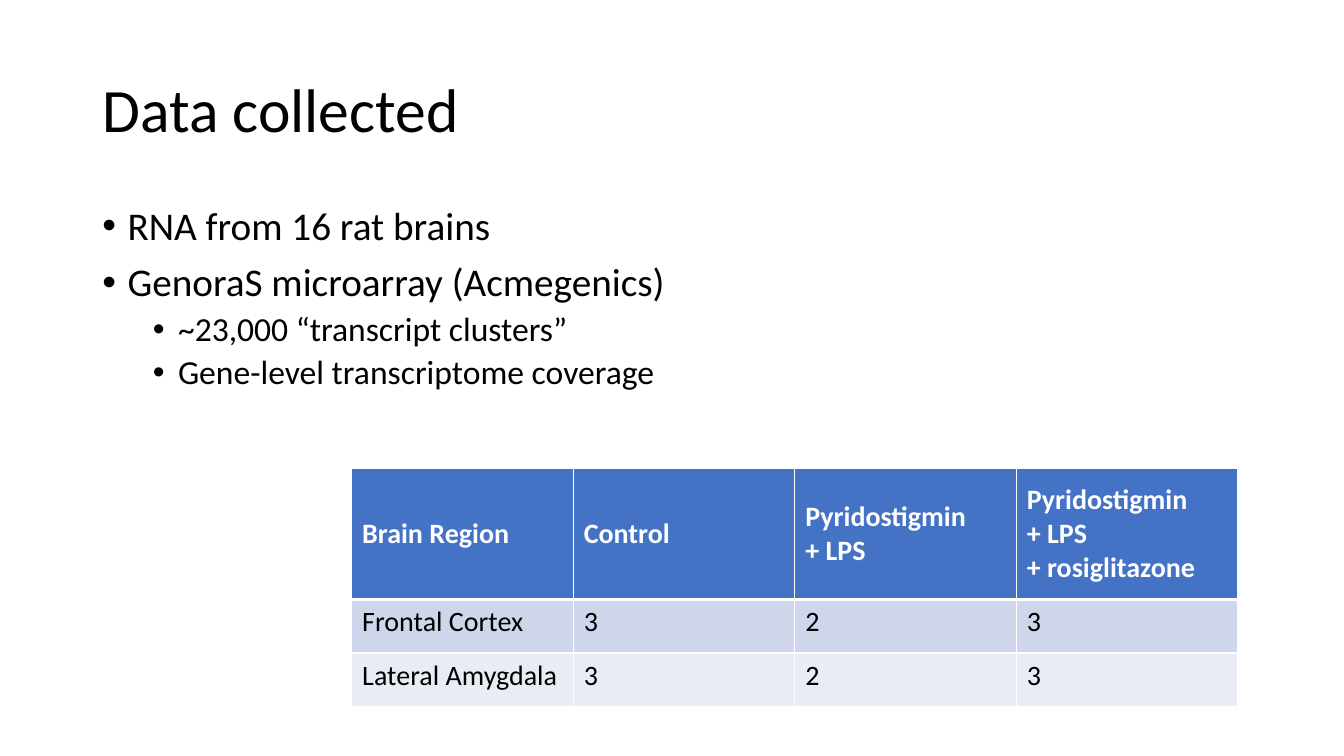
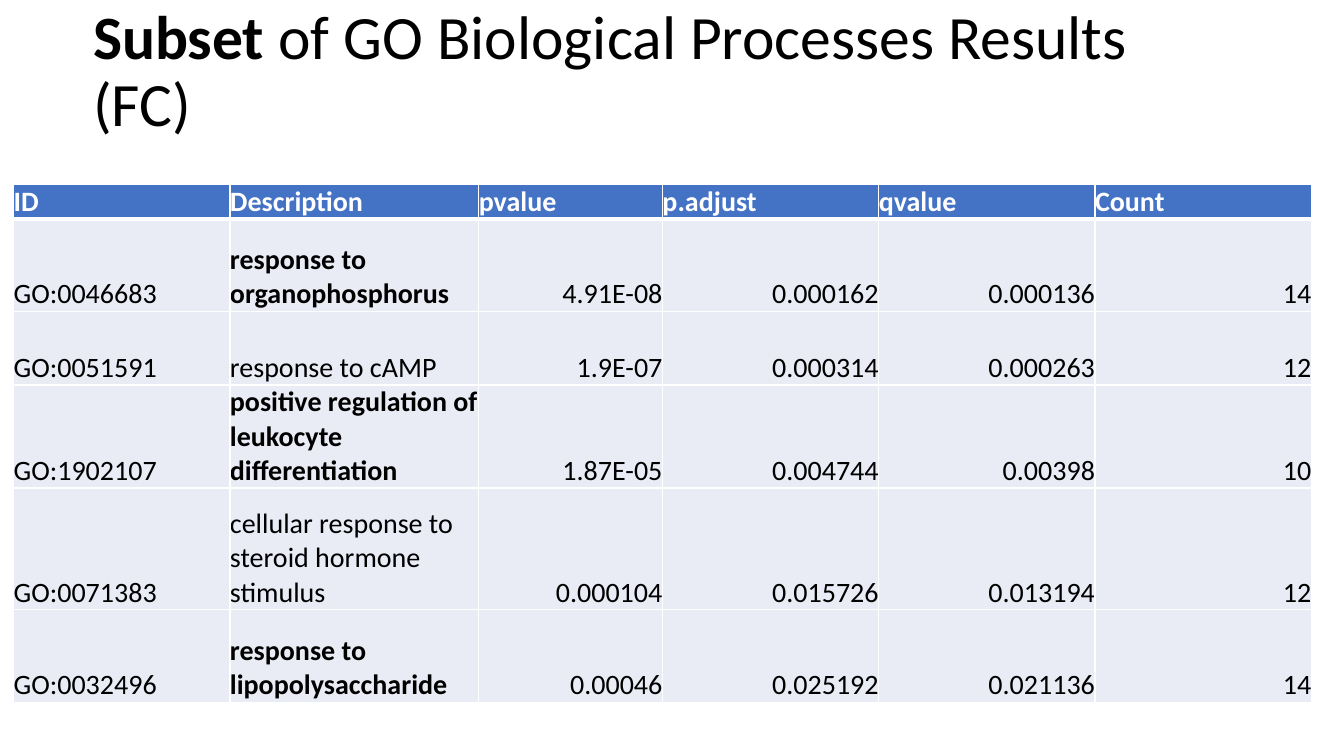
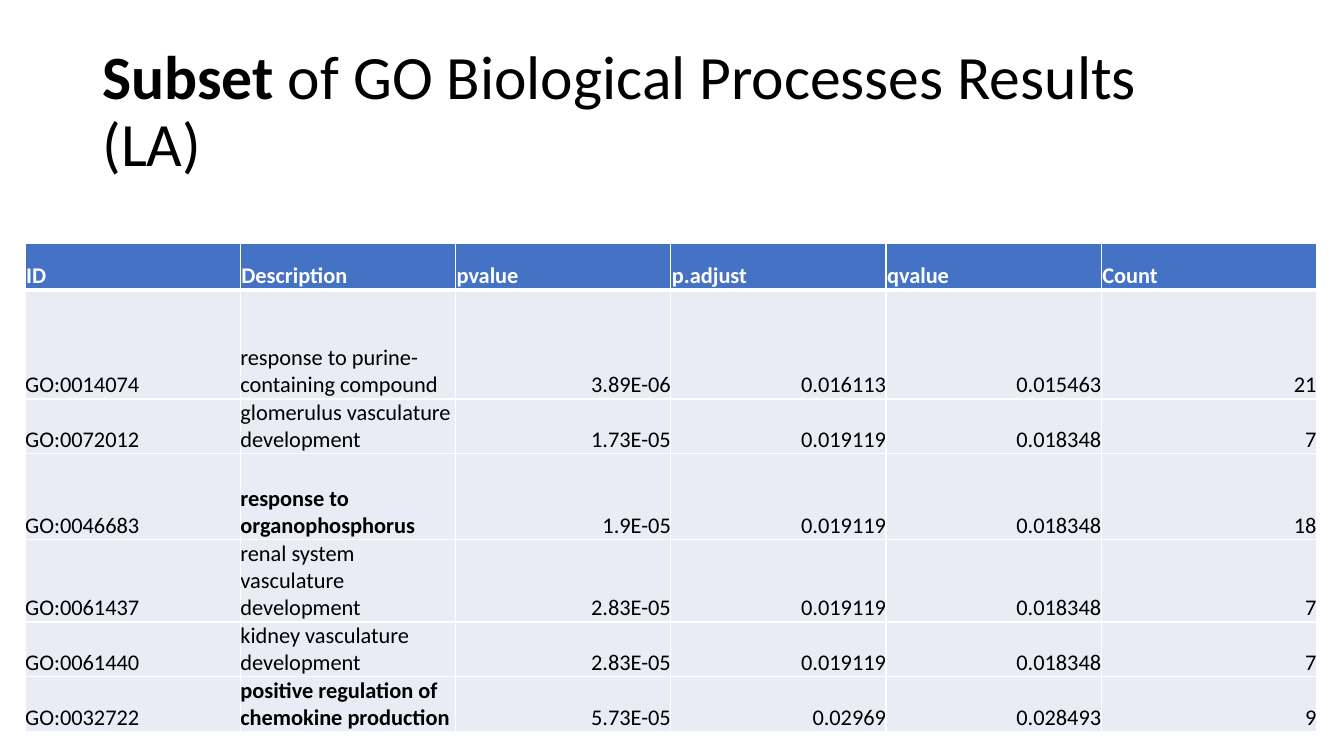
from dataclasses import dataclass

from lxml import etree
from pptx import Presentation
from pptx.dml.color import RGBColor
from pptx.enum.text import MSO_ANCHOR, MSO_AUTO_SIZE, PP_ALIGN
from pptx.oxml.ns import qn
from pptx.util import Emu, Pt

# Shared style
EMU_PER_PX = 9525
FONT = "Calibri"
BLACK, WHITE = "000000", "FFFFFF"
HEADER_FILL, BAND_DARK, BAND_LIGHT = "4472C4", "CFD5EA", "E9EBF5"
TITLE_SIZE = 44
THIN, THICK = 1, 3
TOP, MIDDLE, BOTTOM = MSO_ANCHOR.TOP, MSO_ANCHOR.MIDDLE, MSO_ANCHOR.BOTTOM
LEFT, RIGHT = PP_ALIGN.LEFT, PP_ALIGN.RIGHT
NO_AUTOFIT = MSO_AUTO_SIZE.NONE
TITLE_AND_BODY, TITLE_ONLY = 1, 5


@dataclass(frozen=True)
class Frame:
    left: int
    top: int
    width: int
    height: int


@dataclass(frozen=True)
class Span:
    text: str
    bold: bool = False


@dataclass(frozen=True)
class ListLevel:
    size: int
    margin: int
    space_before: int


@dataclass(frozen=True)
class ListItem:
    text: str
    level: int = 0


@dataclass(frozen=True)
class GoTerm:
    term_id: str
    description: str
    pvalue: str
    adjusted: str
    qvalue: str
    count: str
    bold: bool = False


@dataclass(frozen=True)
class CellStyle:
    fill: str
    color: str
    size: int
    anchor: MSO_ANCHOR
    margins: tuple[int, int, int, int]
    top_line: int = THIN
    bottom_line: int = THIN


@dataclass(frozen=True)
class TableLayout:
    left: int
    top: int
    columns: list[int]
    rows: list[int]


TITLE_FRAME = Frame(88, 38, 1104, 139)
HIGH_TITLE_FRAME = Frame(79, 0, 1104, 139)
BODY_FRAME = Frame(88, 192, 1104, 457)
BULLET_HANG = 24
LIST_LEVELS = [ListLevel(28, 24, 10), ListLevel(24, 72, 5)]
CELL_MARGINS = (10, 5, 10, 5)
NO_MARGINS = (0, 0, 0, 0)

# Content
FINDINGS = [
    ListItem("RNA from 16 rat brains"),
    ListItem("GenoraS microarray (Acmegenics)"),
    ListItem("~23,000 “transcript clusters”", 1),
    ListItem("Gene-level transcriptome coverage", 1),
]
SAMPLES = [
    ["Brain Region", "Control", "Pyridostigmin\n+ LPS",
     "Pyridostigmin\n+ LPS\n+ rosiglitazone"],
    ["Frontal Cortex", "3", "2", "3"],
    ["Lateral Amygdala", "3", "2", "3"],
]
GO_HEADER = ["ID", "Description", "pvalue", "p.adjust", "qvalue", "Count"]
CORTEX_TERMS = [
    GoTerm("GO:0046683", "response to organophosphorus",
           "4.91E-08", "0.000162", "0.000136", "14", True),
    GoTerm("GO:0051591", "response to cAMP",
           "1.9E-07", "0.000314", "0.000263", "12"),
    GoTerm("GO:1902107", "positive regulation of leukocyte differentiation",
           "1.87E-05", "0.004744", "0.00398", "10", True),
    GoTerm("GO:0071383", "cellular response to steroid hormone stimulus",
           "0.000104", "0.015726", "0.013194", "12"),
    GoTerm("GO:0032496", "response to lipopolysaccharide",
           "0.00046", "0.025192", "0.021136", "14", True),
]
AMYGDALA_TERMS = [
    GoTerm("GO:0014074", "response to purine-containing compound",
           "3.89E-06", "0.016113", "0.015463", "21"),
    GoTerm("GO:0072012", "glomerulus vasculature development",
           "1.73E-05", "0.019119", "0.018348", "7"),
    GoTerm("GO:0046683", "response to organophosphorus",
           "1.9E-05", "0.019119", "0.018348", "18", True),
    GoTerm("GO:0061437", "renal system vasculature development",
           "2.83E-05", "0.019119", "0.018348", "7"),
    GoTerm("GO:0061440", "kidney vasculature development",
           "2.83E-05", "0.019119", "0.018348", "7"),
    GoTerm("GO:0032722", "positive regulation of chemokine production",
           "5.73E-05", "0.02969", "0.028493", "9", True),
]


# Helpers
def px(length: int) -> Emu:
    return Emu(length * EMU_PER_PX)


def rgb(color: str) -> RGBColor:
    return RGBColor.from_string(color)


def format_run(run, size: int, color: str = BLACK, bold: bool = False) -> None:
    run.font.name = FONT
    run.font.size = Pt(size)
    run.font.bold = bold
    run.font.color.rgb = rgb(color)


def place(shape, frame: Frame) -> None:
    shape.left, shape.top = px(frame.left), px(frame.top)
    shape.width, shape.height = px(frame.width), px(frame.height)


def add_page(deck, layout: int, title: list[Span], frame: Frame = TITLE_FRAME):
    page = deck.slides.add_slide(deck.slide_layouts[layout])
    place(page.shapes.title, frame)
    text_frame = page.shapes.title.text_frame
    text_frame.auto_size = NO_AUTOFIT
    text_frame.vertical_anchor = MIDDLE
    paragraph = text_frame.paragraphs[0]
    paragraph.alignment = LEFT
    paragraph.line_spacing = 0.9
    for span in title:
        run = paragraph.add_run()
        run.text = span.text
        format_run(run, TITLE_SIZE, bold=span.bold)
    return page


def set_bullet(paragraph, margin: int) -> None:
    properties = paragraph._p.get_or_add_pPr()
    properties.set("marL", str(px(margin)))
    properties.set("indent", str(px(-BULLET_HANG)))
    etree.SubElement(properties, qn("a:buFont"), typeface="Arial")
    etree.SubElement(properties, qn("a:buChar"), char="•")


def fill_list(body, items: list[ListItem]) -> None:
    place(body, BODY_FRAME)
    text_frame = body.text_frame
    text_frame.auto_size = NO_AUTOFIT
    text_frame.text = "\n".join(item.text for item in items)
    for paragraph, item in zip(text_frame.paragraphs, items):
        level = LIST_LEVELS[item.level]
        paragraph.level = item.level
        paragraph.line_spacing = 0.9
        paragraph.space_before = Pt(level.space_before)
        set_bullet(paragraph, level.margin)
        format_run(paragraph.runs[0], level.size)


def set_borders(cell, style: CellStyle) -> None:
    properties = cell._tc.get_or_add_tcPr()
    widths = {"L": THIN, "R": THIN, "T": style.top_line, "B": style.bottom_line}
    for index, (side, width) in enumerate(widths.items()):
        line = etree.Element(qn(f"a:ln{side}"), w=str(Pt(width)))
        fill = etree.SubElement(line, qn("a:solidFill"))
        etree.SubElement(fill, qn("a:srgbClr"), val=WHITE)
        properties.insert(index, line)


def fill_cell(cell, text: str, style: CellStyle, bold: bool = False,
              alignment: PP_ALIGN = LEFT) -> None:
    cell.fill.solid()
    cell.fill.fore_color.rgb = rgb(style.fill)
    set_borders(cell, style)
    cell.vertical_anchor = style.anchor
    (cell.margin_left, cell.margin_top,
     cell.margin_right, cell.margin_bottom) = map(px, style.margins)
    cell.text_frame.text = text
    for paragraph in cell.text_frame.paragraphs:
        paragraph.alignment = alignment
        for run in paragraph.runs:
            format_run(run, style.size, style.color, bold)


def add_grid(page, layout: TableLayout):
    frame = page.shapes.add_table(
        len(layout.rows), len(layout.columns), px(layout.left), px(layout.top),
        px(sum(layout.columns)), px(sum(layout.rows)))
    table = frame.table
    for column, width in zip(table.columns, layout.columns):
        column.width = px(width)
    for row, height in zip(table.rows, layout.rows):
        row.height = px(height)
    return table


def header_style(size: int, anchor: MSO_ANCHOR,
                 margins: tuple[int, int, int, int]) -> CellStyle:
    return CellStyle(HEADER_FILL, WHITE, size, anchor, margins, bottom_line=THICK)


def fill_header(table, labels: list[str], style: CellStyle) -> None:
    for column, label in enumerate(labels):
        fill_cell(table.cell(0, column), label, style, bold=True)


def first_row_line(row: int) -> int:
    return THICK if row == 1 else THIN


def add_sample_table(page) -> None:
    table = add_grid(page, TableLayout(335, 446, [211] * 4, [125, 51, 51]))
    fill_header(table, SAMPLES[0], header_style(20, MIDDLE, CELL_MARGINS))
    for row, values in enumerate(SAMPLES[1:], 1):
        band = BAND_DARK if row % 2 else BAND_LIGHT
        style = CellStyle(band, BLACK, 20, TOP, CELL_MARGINS, first_row_line(row))
        for column, value in enumerate(values):
            fill_cell(table.cell(row, column), value, style)


def add_go_table(page, terms: list[GoTerm], layout: TableLayout, size: int,
                 header_margins: tuple[int, int, int, int] = NO_MARGINS) -> None:
    table = add_grid(page, layout)
    fill_header(table, GO_HEADER, header_style(size, BOTTOM, header_margins))
    for row, term in enumerate(terms, 1):
        style = CellStyle(BAND_LIGHT, BLACK, size, BOTTOM, NO_MARGINS,
                          first_row_line(row))
        fill_cell(table.cell(row, 0), term.term_id, style)
        fill_cell(table.cell(row, 1), term.description, style, term.bold)
        numbers = [term.pvalue, term.adjusted, term.qvalue, term.count]
        for column, number in enumerate(numbers, 2):
            fill_cell(table.cell(row, column), number, style, alignment=RIGHT)


def go_title(region: str) -> list[Span]:
    return [Span("Subset", True),
            Span(f" of GO Biological Processes Results ({region})")]


def main() -> None:
    deck = Presentation()
    deck.slide_width, deck.slide_height = px(1280), px(720)

    # Data collected
    page = add_page(deck, TITLE_AND_BODY, [Span("Data collected")])
    fill_list(page.placeholders[1], FINDINGS)
    add_sample_table(page)

    # Frontal cortex results
    page = add_page(deck, TITLE_ONLY, go_title("FC"), HIGH_TITLE_FRAME)
    add_go_table(page, CORTEX_TERMS, TableLayout(
        13, 176, [206, 237, 175, 206, 206, 206], [23, 88, 70, 93, 116, 88]), 20)

    # Lateral amygdala results
    page = add_page(deck, TITLE_ONLY, go_title("LA"))
    add_go_table(page, AMYGDALA_TERMS, TableLayout(
        24, 232, [205] * 6, [44, 104, 47, 82, 70, 47, 52]), 16, (1, 1, 1, 0))

    deck.save("out.pptx")


if __name__ == "__main__":
    main()
